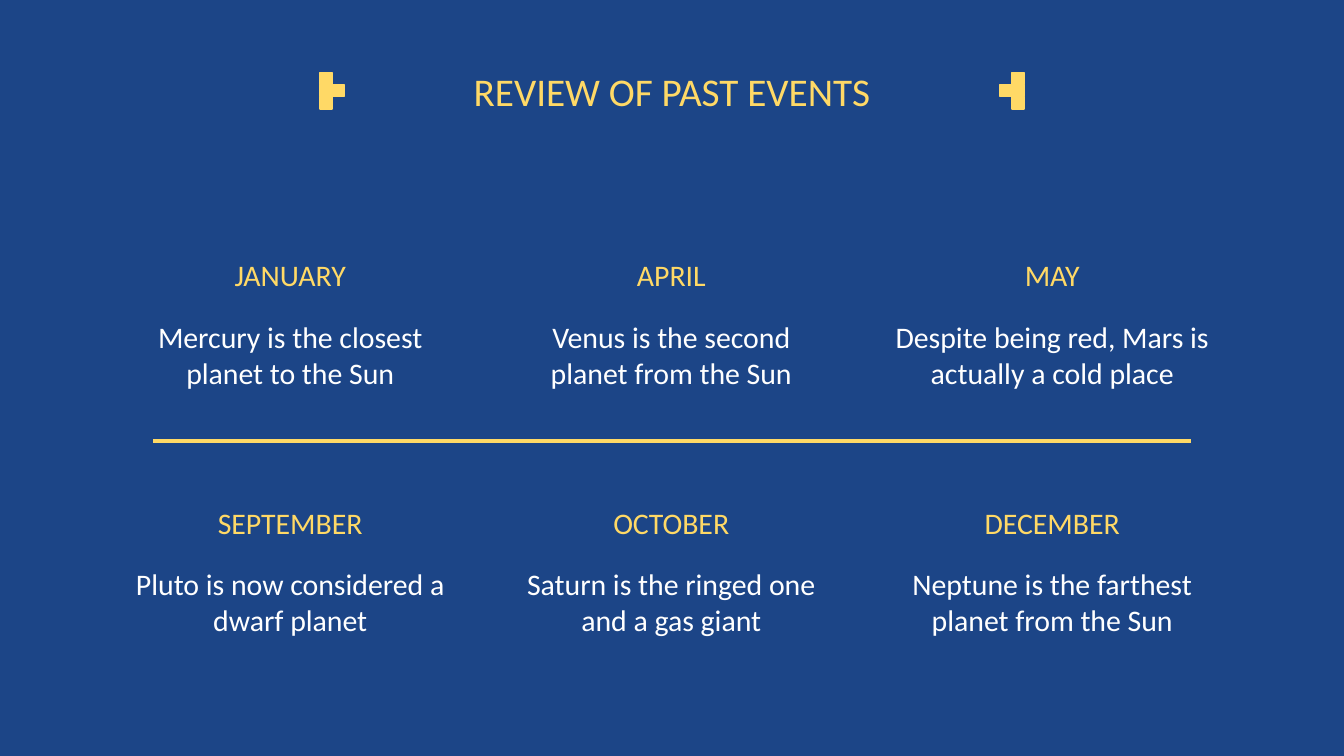
import pptx
import pptx.dml.color
import pptx.enum.shapes
import pptx.enum.text
import pptx.oxml.ns
import pptx.util
from lxml import etree

Inches = pptx.util.Inches
NAVY, GOLD, WHITE = "1C4587", "FFD966", "FFFFFF"
EVENTS = [
    [("JANUARY", "Mercury is the closest planet to the Sun"),
     ("APRIL", "Venus is the second planet from the Sun"),
     ("MAY", "Despite being red, Mars is actually a cold place")],
    [("SEPTEMBER", "Pluto is now considered a dwarf planet"),
     ("OCTOBER", "Saturn is the ringed one and a gas giant"),
     ("DECEMBER", "Neptune is the farthest planet from the Sun")],
]


def paint(target, color):
    target.rgb = pptx.dml.color.RGBColor.from_string(color)


class Board:
    """Holds the font and the slide, and draws each kind of element."""

    def __init__(self, slide, font):
        self.slide = slide
        self.font = font

    def ground(self, color):
        fill = self.slide.background.fill
        fill.solid()
        paint(fill.fore_color, color)

    def text(self, words, left, top, width, height, size, color, anchor):
        box = self.slide.shapes.add_textbox(
            Inches(left), Inches(top), Inches(width), Inches(height))
        frame = box.text_frame
        frame.word_wrap = True
        frame.vertical_anchor = anchor
        frame.margin_left = frame.margin_right = Inches(0.1)
        frame.margin_top = frame.margin_bottom = Inches(0.1)
        para = frame.paragraphs[0]
        para.text = words
        para.alignment = pptx.enum.text.PP_ALIGN.CENTER
        para.font.name = self.font
        para.font.size = pptx.util.Pt(size)
        paint(para.font.color, color)

    def head(self, words, left, top, width, height, size):
        self.text(words, left, top, width, height, size, GOLD,
                  pptx.enum.text.MSO_ANCHOR.BOTTOM)

    def body(self, words, left, top, width, height):
        self.text(words, left, top, width, height, 16, WHITE,
                  pptx.enum.text.MSO_ANCHOR.TOP)

    def square(self, group, left, top, side):
        shape = group.shapes.add_shape(
            pptx.enum.shapes.MSO_SHAPE.RECTANGLE,
            Inches(left), Inches(top), Inches(side), Inches(side))
        shape.shadow.inherit = False
        shape.fill.solid()
        paint(shape.fill.fore_color, GOLD)
        paint(shape.line.color, GOLD)
        shape.line.width = pptx.util.Pt(0.75)

    def mark(self, left, top, side, turn):
        group = self.slide.shapes.add_group_shape()
        for col, row in [(0, 0), (0, 1), (0, 2), (turn, 1)]:
            self.square(group, left + col * side, top + row * side, side)

    def rule(self, left, right, top):
        line = self.slide.shapes.add_connector(
            pptx.enum.shapes.MSO_CONNECTOR.STRAIGHT,
            Inches(left), Inches(top), Inches(right), Inches(top))
        paint(line.line.color, GOLD)
        line.line.width = pptx.util.Pt(2.25)
        etree.SubElement(line._element.spPr, pptx.oxml.ns.qn("a:effectLst"))


def main():
    deck = pptx.Presentation()
    deck.slide_width = Inches(10)
    deck.slide_height = deck.slide_width * 9 // 16
    board = Board(deck.slides.add_slide(deck.slide_layouts[6]), "Calibri")
    board.ground(NAVY)
    board.head("REVIEW OF PAST EVENTS", 0.34, 0.32, 9.32, 0.63, 21)
    for row, events in enumerate(EVENTS):
        top = 1.85 + row * 1.84
        for col, (month, fact) in enumerate(events):
            left = 0.89 + col * 5.67 / 2
            board.head(month, left, top, 2.54, 0.43, 16)
            board.body(fact, left, top + 0.42, 2.54, 0.96)
    board.mark(2.38, 0.54, 0.09, 1)
    board.mark(7.53, 0.54, 0.09, -1)
    board.rule(1.14, 8.86, 3.28)
    deck.save("out.pptx")


if __name__ == "__main__":
    main()
